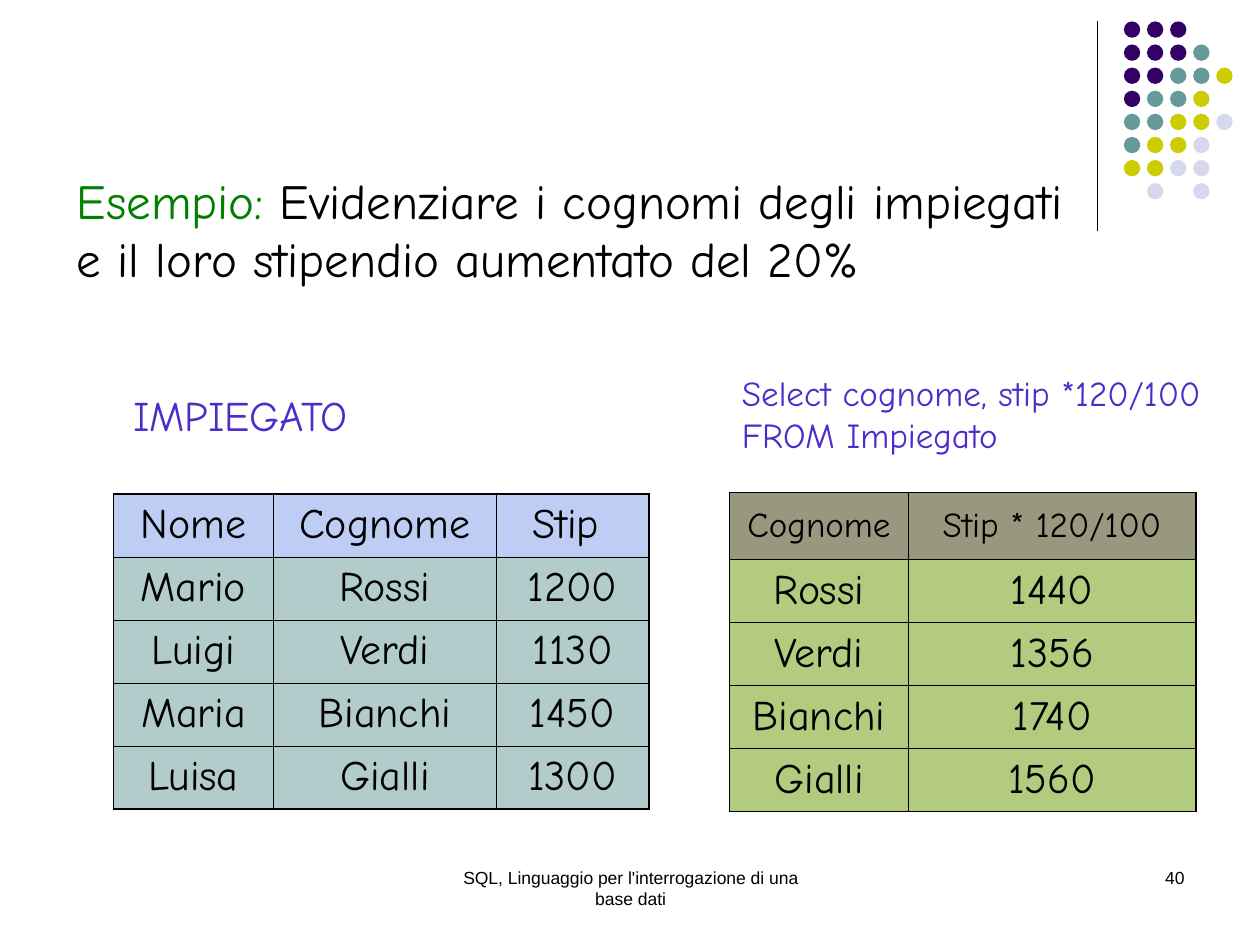
from lxml import etree
from pptx import Presentation
from pptx.dml import color
from pptx.enum import shapes, text
from pptx.oxml import ns
from pptx.util import Inches, Pt

COLORS = {
    "ink": "000000", "example": "008000", "query": "4E2CCA",
    "source_head": "7E9CE8", "source_body": "669999",
    "result_head": "333300", "result_body": "669900",
    "P": "330066", "T": "669999", "Y": "CCCC00", "L": "D8D8EC",
}
DOT_ROWS = ["PPP", "PPPT", "PPTTY", "PTTY", "TTYYL", "TYYL", "YYLL", " L L"]
LEFT, CENTER, RIGHT = text.PP_ALIGN.LEFT, text.PP_ALIGN.CENTER, text.PP_ALIGN.RIGHT
EMPLOYEES = [
    ["Nome", "Cognome", "Stip "],
    ["Mario", "Rossi", "1200"],
    ["Luigi", "Verdi", "1130"],
    ["Maria", "Bianchi", "1450"],
    ["Luisa", "Gialli", "1300"],
]
RAISED = [["Cognome", "Stip * 120/100"]] + [
    [surname, str(int(pay) * 120 // 100)] for _, surname, pay in EMPLOYEES[1:]
]


def rgb(name):
    """Return the named colour."""
    return color.RGBColor.from_string(COLORS[name])


def write(frame, lines, size=24, font="Comic Neue", align=LEFT, space_before=0):
    """Fill a frame with lines, each a list of (words, colour) runs."""
    for index, runs in enumerate(lines):
        paragraph = frame.add_paragraph() if index else frame.paragraphs[0]
        paragraph.alignment = align
        paragraph.space_before = Pt(space_before)
        for words, ink in runs:
            run = paragraph.add_run()
            run.text = words
            run.font.size, run.font.name = Pt(size), font
            run.font.color.rgb = rgb(ink)


def add_label(slide, box, lines, wrap=False, **style):
    """Add a text box at the given place."""
    frame = slide.shapes.add_textbox(*map(Inches, box)).text_frame
    frame.word_wrap = wrap
    if not wrap:
        frame.auto_size = text.MSO_AUTO_SIZE.SHAPE_TO_FIT_TEXT
    write(frame, lines, **style)


def add_title(slide, box, lines, **style):
    """Place and format the title."""
    title = slide.shapes.title
    title.left, title.top, title.width, title.height = map(Inches, box)
    frame = title.text_frame
    frame.word_wrap = False
    frame.auto_size = text.MSO_AUTO_SIZE.NONE
    frame.vertical_anchor = text.MSO_ANCHOR.TOP
    write(frame, lines, **style)


def add_dots(slide):
    """Draw the rule and the grid of dots in the corner."""
    rule = slide.shapes.add_connector(
        shapes.MSO_CONNECTOR.STRAIGHT, *map(Inches, (8.71, 0.17, 8.71, 1.83)))
    rule.line.color.rgb = rgb("ink")
    rule.line.width = Pt(0.75)
    etree.SubElement(rule._element.spPr, ns.qn("a:effectLst"))
    group = slide.shapes.add_group_shape()
    step, size = Inches(1.1) // 6, Inches(0.13)
    for row, keys in enumerate(DOT_ROWS):
        for column, key in enumerate(keys):
            if key == " ":
                continue
            dot = group.shapes.add_shape(
                shapes.MSO_SHAPE.OVAL, Inches(8.92) + column * step,
                Inches(0.17) + row * step, size, size)
            dot.shadow.inherit = False
            dot.fill.solid()
            dot.fill.fore_color.rgb = rgb(key)
            dot.line.fill.background()


def paint_cell(cell, fill, outer_sides):
    """Give a cell its borders and a half-transparent fill."""
    properties = cell._tc.get_or_add_tcPr()
    for side in "LRTB":
        width = Pt(1.08 if side in outer_sides else 0.45)
        border = etree.SubElement(properties, ns.qn(f"a:ln{side}"), w=str(int(width)))
        solid = etree.SubElement(border, ns.qn("a:solidFill"))
        etree.SubElement(solid, ns.qn("a:srgbClr"), val=COLORS["ink"])
    cell.fill.solid()
    cell.fill.fore_color.rgb = rgb(fill)
    tint = properties.find(f"{ns.qn('a:solidFill')}/{ns.qn('a:srgbClr')}")
    etree.SubElement(tint, ns.qn("a:alpha"), val="50000")


def add_grid(slide, place, rows, widths, kind, head_height=0.5, head_size=24,
             head_space=6, margin=0.1, anchor=text.MSO_ANCHOR.TOP):
    """Add a table with a header row and a thicker outer frame."""
    heights = [head_height] + [0.5] * (len(rows) - 1)
    table = slide.shapes.add_table(
        len(rows), len(widths),
        *map(Inches, (*place, sum(widths), sum(heights)))).table
    table.first_row = table.horz_banding = False
    for column, width in zip(table.columns, widths):
        column.width = Inches(width)
    for r, (values, height) in enumerate(zip(rows, heights)):
        table.rows[r].height = Inches(height)
        for c, value in enumerate(values):
            cell = table.cell(r, c)
            edges = {"L": c == 0, "R": c == len(widths) - 1,
                     "T": r == 0, "B": r == len(rows) - 1}
            paint_cell(cell, f"{kind}_{'body' if r else 'head'}",
                       [side for side, outer in edges.items() if outer])
            cell.margin_left = cell.margin_right = Inches(margin)
            cell.vertical_anchor = anchor
            write(cell.text_frame, [[(value, "ink")]], align=CENTER,
                  size=24 if r else head_size, space_before=6 if r else head_space)


def main():
    """Build the slide and save it."""
    deck = Presentation()
    deck.slide_width, deck.slide_height = Inches(10), Inches(7.5)
    slide = deck.slides.add_slide(deck.slide_layouts[5])
    add_dots(slide)
    add_label(slide, (3.42, 6.83, 3.17, 0.5),
              [[("SQL, Linguaggio per l'interrogazione di una base dati", "ink")]],
              wrap=True, size=10, font="Arial", align=CENTER)
    add_label(slide, (7.17, 6.83, 2.33, 0.5), [[("40", "ink")]],
              wrap=True, size=10, font="Arial", align=RIGHT)
    add_title(slide, (0.51, 1.3, 8.16, 1.04),
              [[("Esempio:", "example"),
                (" Evidenziare i cognomi degli impiegati", "ink")],
               [("e il loro stipendio aumentato del 20%", "ink")]], size=28)
    add_grid(slide, (5.79, 3.91), RAISED, [1.42, 2.28], "result",
             head_height=0.53, head_size=20, head_space=5, margin=0.08,
             anchor=text.MSO_ANCHOR.MIDDLE)
    add_grid(slide, (0.9, 3.92), EMPLOYEES, [1.27, 1.77, 1.21], "source")
    add_label(slide, (0.96, 3.04, 1.95, 0.5), [[("IMPIEGATO", "query")]])
    add_label(slide, (5.79, 2.9, 3.84, 0.77),
              [[("Select cognome, stip *120/100", "query")],
               [("FROM Impiegato", "query")]], size=20)
    deck.save("out.pptx")


if __name__ == "__main__":
    main()
